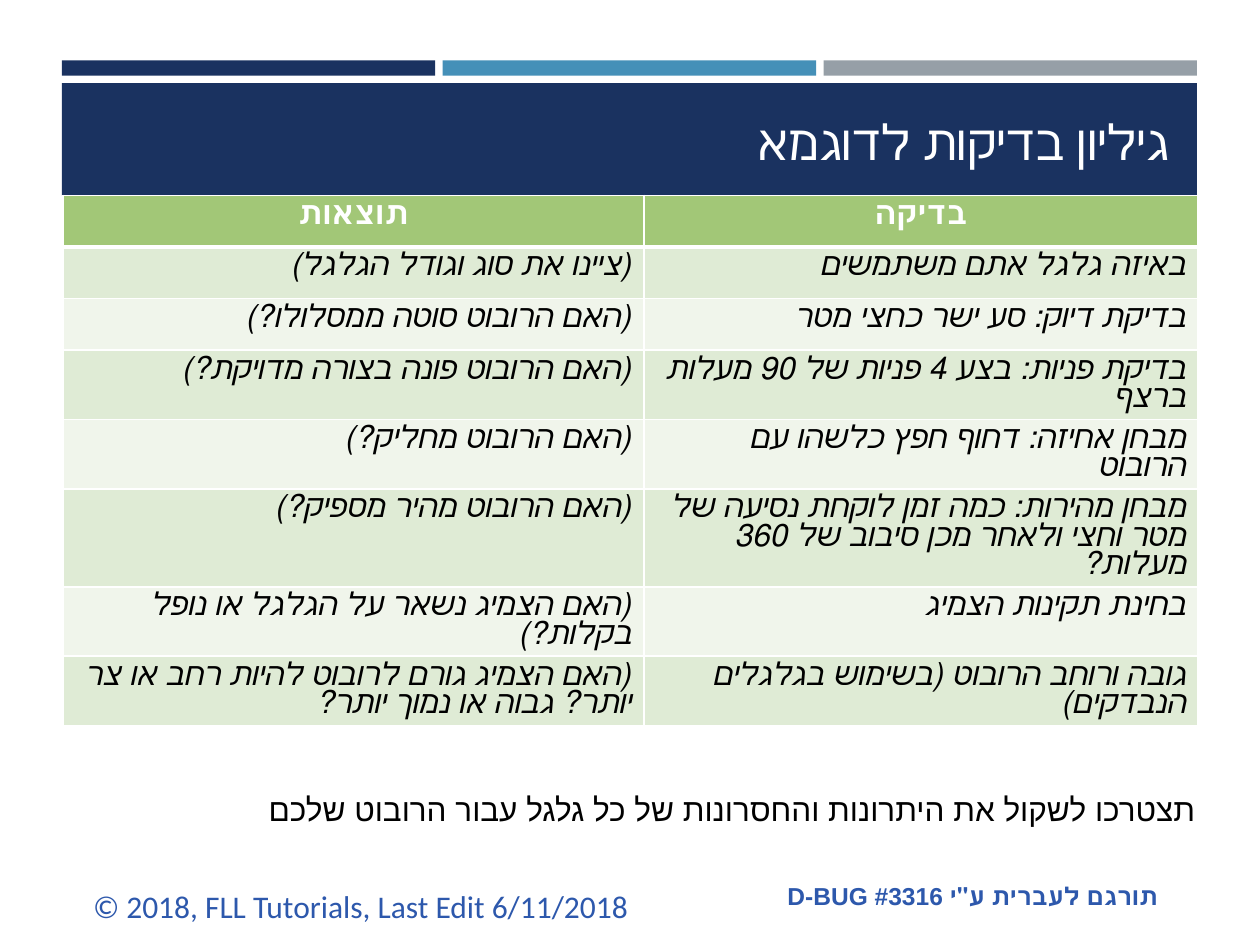
from lxml import etree
from pptx import Presentation
from pptx.dml.color import RGBColor
from pptx.enum import shapes, text
from pptx.oxml.ns import qn
from pptx.util import Inches, Pt

NAVY, BLUE, GRAY, WHITE, BLACK = "1A3260", "4590B8", "969FA7", "FFFFFF", "000000"
HEADER_GREEN, BAND_DARK, BAND_LIGHT = "A2C777", "DFEBD5", "F0F5EB"
FOOTER_BLUE = "2D58AC"
RIGHT, CENTER = text.PP_ALIGN.RIGHT, text.PP_ALIGN.CENTER

ROWS = [
    ("תוצאות", "בדיקה"),
    ("(ציינו את סוג וגודל הגלגל)", "באיזה גלגל אתם משתמשים"),
    ("(האם הרובוט סוטה ממסלולו?)", "בדיקת דיוק: סע ישר כחצי מטר"),
    ("(האם הרובוט פונה בצורה מדויקת?)", "בדיקת פניות: בצע 4 פניות של 90 מעלות ברצף"),
    ("(האם הרובוט מחליק?)", "מבחן אחיזה: דחוף חפץ כלשהו עם הרובוט"),
    ("(האם הרובוט מהיר מספיק?)",
     "מבחן מהירות: כמה זמן לוקחת נסיעה של מטר וחצי ולאחר מכן סיבוב של 360 מעלות?"),
    ("(האם הצמיג נשאר על הגלגל או נופל בקלות?)", "בחינת תקינות הצמיג"),
    ("(האם הצמיג גורם לרובוט להיות רחב או צר יותר? גבוה או נמוך יותר?",
     "גובה ורוחב הרובוט (בשימוש בגלגלים הנבדקים)"),
]


def color(value):
    return RGBColor.from_string(value)


def write(frame, words, size, fill, font="Arial", hebrew_font=None, align=None,
          rtl=True, bold=False, italic=False):
    """Put one formatted paragraph in a text frame and return it."""
    frame.text = words
    frame.word_wrap = True
    paragraph = frame.paragraphs[0]
    paragraph.alignment = align
    if rtl:
        paragraph._p.get_or_add_pPr().set("rtl", "1")
    for run in paragraph.runs:
        run.font.name, run.font.size = font, Pt(size)
        run.font.bold, run.font.italic = bold, italic
        run.font.color.rgb = color(fill)
        if hebrew_font:
            etree.SubElement(run._r.get_or_add_rPr(), qn("a:cs"), typeface=hebrew_font)
    return paragraph


def add_bar(slide, box, fill):
    bar = slide.shapes.add_shape(shapes.MSO_SHAPE.RECTANGLE, *map(Inches, box))
    bar.shadow.inherit = False
    bar.fill.solid()
    bar.fill.fore_color.rgb = color(fill)
    bar.line.fill.background()


def add_header(slide, left, top, width, height):
    # Three thin accent bars above the title band
    gap, thickness = 0.06, 0.12
    bar_width = (width - 2 * gap) / 3
    for index, fill in enumerate((NAVY, BLUE, GRAY)):
        add_bar(slide, (left + index * (bar_width + gap), top, bar_width, thickness), fill)
    band_top = top + thickness + gap
    add_bar(slide, (left, band_top, width, top + height - band_top), NAVY)

    # Title, brought in front of the band
    title = slide.shapes.title
    title.left, title.top = Inches(left + 0.15), Inches(band_top + 0.09)
    title.width, title.height = Inches(width - 0.27), Inches(0.65)
    write(title.text_frame, "גיליון בדיקות לדוגמא", 28, WHITE, align=RIGHT)
    title.text_frame.vertical_anchor = text.MSO_ANCHOR.BOTTOM
    slide.shapes._spTree.append(title._element)


def set_borders(cell, bottom_width):
    properties = cell._tc.get_or_add_tcPr()
    for side, width in (("L", 1), ("R", 1), ("T", 1), ("B", bottom_width)):
        line = etree.SubElement(properties, qn(f"a:ln{side}"), w=str(Pt(width)))
        fill = etree.SubElement(line, qn("a:solidFill"))
        etree.SubElement(fill, qn("a:srgbClr"), val=WHITE)


def add_test_table(slide, left, top, widths, row_height):
    frame = slide.shapes.add_table(
        len(ROWS), len(widths), Inches(left), Inches(top),
        Inches(sum(widths)), Inches(row_height * len(ROWS)))
    table = frame.table
    for column, width in zip(table.columns, widths):
        column.width = Inches(width)
    for row_index, row in enumerate(ROWS):
        header = row_index == 0
        band = HEADER_GREEN if header else (BAND_LIGHT, BAND_DARK)[row_index % 2]
        for column_index, words in enumerate(row):
            cell = table.cell(row_index, column_index)
            set_borders(cell, 3 if header else 1)
            cell.fill.solid()
            cell.fill.fore_color.rgb = color(band)
            paragraph = write(
                cell.text_frame, words, 18, WHITE if header else BLACK,
                align=CENTER if header else RIGHT, bold=header, italic=not header)
            paragraph.line_spacing = 0.9


def add_text(slide, box, words, size, fill, **style):
    shape = slide.shapes.add_textbox(*map(Inches, box))
    return shape, write(shape.text_frame, words, size, fill, **style)


def add_footer(slide, left, top, width):
    add_text(slide, (left, top + 0.05, 5.33, 0.4),
             "© 2018, FLL Tutorials, Last Edit 6/11/2018", 18, FOOTER_BLUE,
             font="Calibri", rtl=False)
    credit_width = 3.28
    credit, paragraph = add_text(
        slide, (left + width - credit_width, top, credit_width, 0.5),
        "תורגם לעברית ע\"י D-BUG #3316", 14, FOOTER_BLUE, align=CENTER, bold=True)
    credit.text_frame.margin_top = credit.text_frame.margin_bottom = Inches(0.1)
    paragraph.line_spacing = 0.8


def main():
    presentation = Presentation()
    presentation.slide_width, presentation.slide_height = Inches(10), Inches(7.5)
    slide = presentation.slides.add_slide(presentation.slide_layouts[5])

    add_header(slide, 0.49, 0.48, 9.01, 1.07)
    add_test_table(slide, 0.5, 1.55, (4.61, 4.4), 0.41)
    # Closing note under the table
    add_text(slide, (0.57, 6.22, 9.02, 0.4),
             "תצטרכו לשקול את היתרונות והחסרונות של כל גלגל עבור הרובוט שלכם",
             18, BLACK, hebrew_font="Arial", align=RIGHT)
    add_footer(slide, 0.64, 6.94, 8.72)
    presentation.save("out.pptx")


if __name__ == "__main__":
    main()
